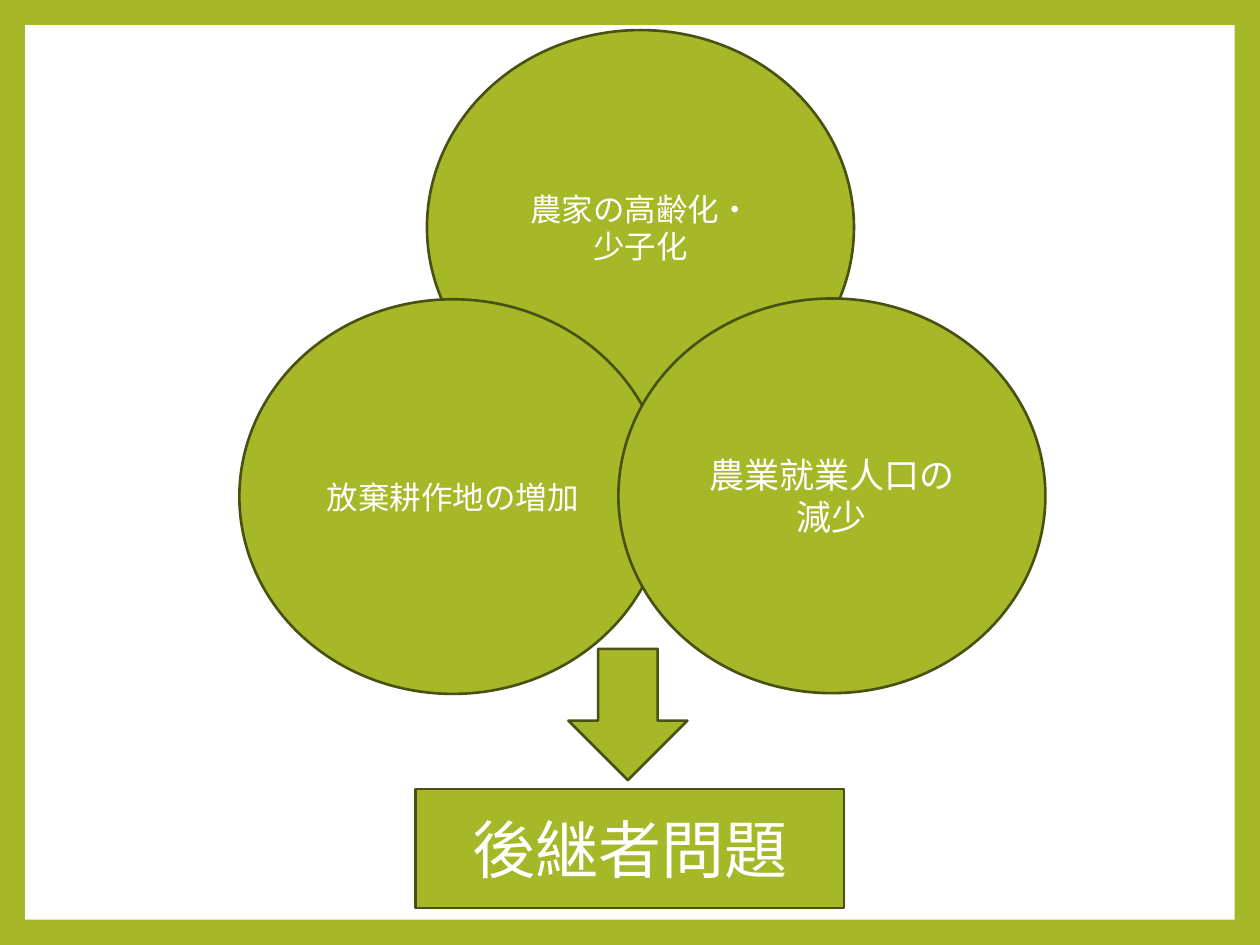
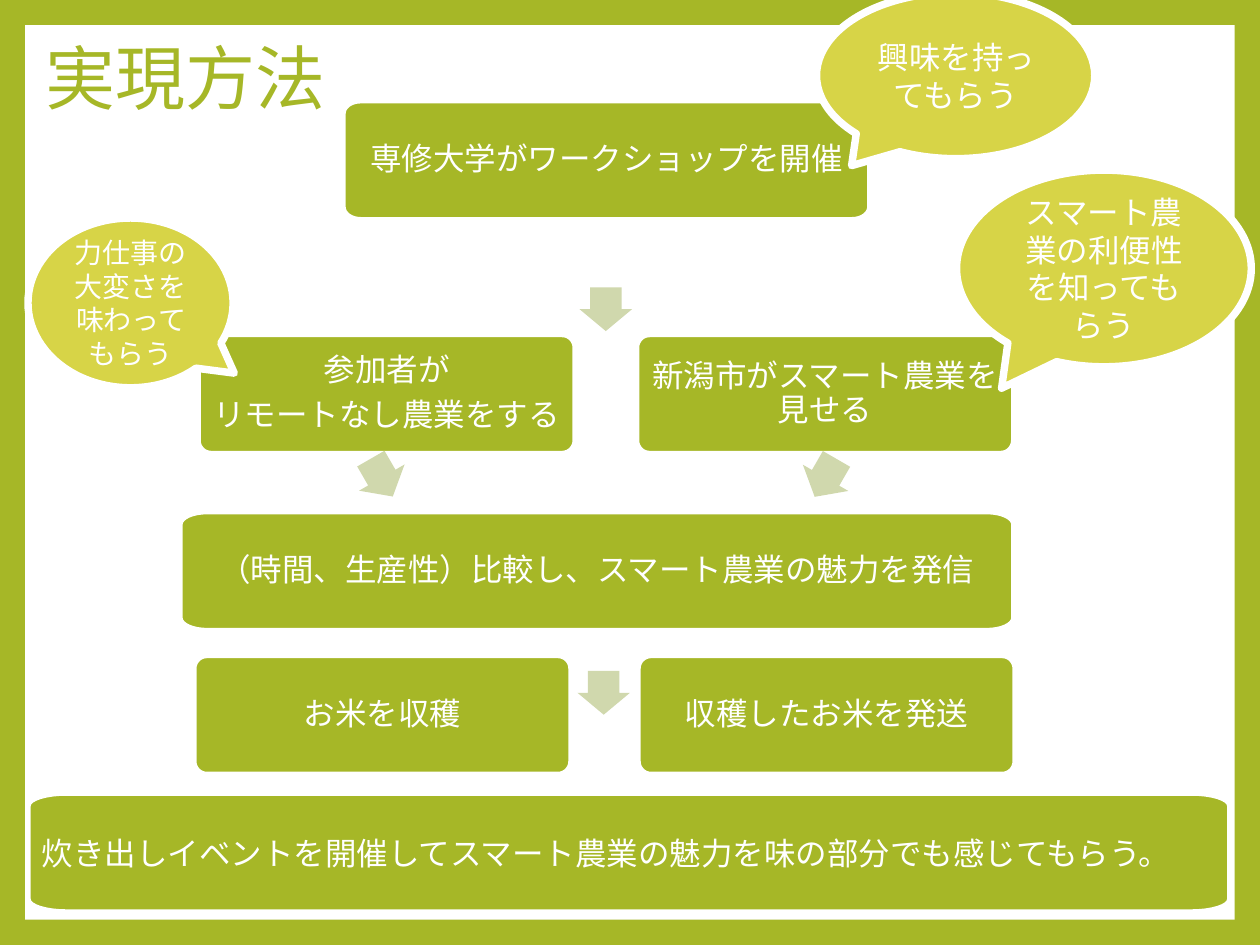
import math
from collections import namedtuple

import pptx
import pptx.dml.color
import pptx.enum.shapes
import pptx.enum.text
import pptx.util

Box = namedtuple("Box", "left top width height")
Pt = pptx.util.Pt
SHAPE = pptx.enum.shapes.MSO_SHAPE
ALIGN = pptx.enum.text.PP_ALIGN
MIDDLE = pptx.enum.text.MSO_ANCHOR.MIDDLE

FONT = "Cabin"
GREEN = "A6B727"
DARK_GREEN = "495011"
PALE_GREEN = "D0D8AD"
YELLOW = "D7D447"
WHITE = "FFFFFF"

PAGE = Box(0, 0, 720, 540)
FRAME = 14.4


def colour(value):
    return pptx.dml.color.RGBColor.from_string(value)


def inside(box, left, top, width, height):
    """Turn a position within box into a box on the page."""
    return Box(box.left + left, box.top + top, width, height)


def paint(shape, fill, line=None, line_width=1.5):
    shape.shadow.inherit = False
    shape.fill.solid()
    shape.fill.fore_color.rgb = colour(fill)
    if line:
        shape.line.color.rgb = colour(line)
        shape.line.width = Pt(line_width)
    else:
        shape.line.fill.background()


def draw(page, kind, box, fill, line=None, line_width=1.5):
    shape = page.shapes.add_shape(kind, *map(Pt, box))
    paint(shape, fill, line, line_width)
    return shape


def write(shape, text, size=18, ink=WHITE, align=ALIGN.CENTER,
          line_spacing=None, space_after=None):
    frame = shape.text_frame
    frame.word_wrap = True
    frame.vertical_anchor = MIDDLE
    frame.text = text
    for para in frame.paragraphs:
        para.alignment = align
        para.line_spacing = line_spacing
        para.space_after = space_after
        para.font.name = FONT
        para.font.size = Pt(size)
        para.font.color.rgb = colour(ink)


def set_up_master(deck, page):
    """Put the green border and white panel behind every slide."""
    master = deck.slide_master
    master.background.fill.solid()
    master.background.fill.fore_color.rgb = colour(GREEN)
    panel = draw(page, SHAPE.RECTANGLE,
                 inside(PAGE, FRAME, FRAME, PAGE.width - 2 * FRAME, PAGE.height - 2 * FRAME),
                 WHITE)
    master.shapes.element.insert(2, panel.element)


def add_title(page, text, box):
    title = page.shapes.title
    title.left, title.top, title.width, title.height = map(Pt, box)
    write(title, text, 40, GREEN, ALIGN.LEFT, 0.9)
    title.text_frame.auto_size = pptx.enum.text.MSO_AUTO_SIZE.NONE


def add_causes(page, box):
    """Three overlapping circles leading down to the resulting problem."""
    def part(kind, left, top, width, height):
        return draw(page, kind, inside(box, left, top, width, height), GREEN, DARK_GREEN)

    def circle(text, left, top, size):
        write(part(SHAPE.OVAL, left, top, 244, 225.5), text, size)

    circle("農家の高齢化・\n少子化", 107.2, 0, 18)
    part(SHAPE.DOWN_ARROW, 188, 353.6, 68, 75)
    circle("放棄耕作地の増加", 0, 153.8, 18)
    circle("農業就業人口の減少", 216.6, 153.4, 20)
    result = part(SHAPE.RECTANGLE, 100.5, 433.7, 245, 68)
    write(result, "後継者問題", 36)


def add_card(page, text, box, plain=False):
    """Card whose corners stretch with its width."""
    corner_x, corner_y = box.width * 0.031, box.height * 0.1
    points = []
    for quarter in range(4):
        side_x = 1 if quarter in (0, 3) else -1
        side_y = 1 if quarter < 2 else -1
        centre_x = box.left + box.width / 2 + side_x * (box.width / 2 - corner_x)
        centre_y = box.top + box.height / 2 + side_y * (box.height / 2 - corner_y)
        for step in range(9):
            angle = math.radians(90 * quarter + 11.25 * step)
            points.append((Pt(centre_x + corner_x * math.cos(angle)),
                           Pt(centre_y + corner_y * math.sin(angle))))
    outline = page.shapes.build_freeform(*points[0])
    outline.add_line_segments(points[1:], close=True)
    card = outline.convert_to_shape()
    paint(card, GREEN, WHITE)
    if plain:
        write(card, text, align=ALIGN.LEFT)
    else:
        write(card, text, line_spacing=0.9, space_after=Pt(6.3))
    frame = card.text_frame
    frame.margin_left = frame.margin_right = Pt(7.2)
    frame.margin_top = frame.margin_bottom = Pt(7.2)


def add_steps(page, box):
    """Cards of the plan from top to bottom, with arrows between them."""
    card_width, card_height = 213.9, 66.4
    cards = [
        ("専修大学がワークショップを開催", 180, 0, 299.5),
        ("参加者が\nリモートなし農業をする", 97.2, 133.6, card_width),
        ("新潟市がスマート農業を見せる", 347.8, 133.6, card_width),
        ("（時間、生産性）比較し、スマート農業の魅力を発信", 86.8, 234.8, 475),
        ("お米を収穫", 94.8, 317, card_width),
        ("収穫したお米を発送", 348.6, 317, card_width),
        ("炊き出しイベントを開催してスマート農業の魅力を味の部分でも感じてもらう。",
         0, 395.6, 685.2),
    ]
    for text, left, top, width in cards:
        add_card(page, text, inside(box, left, top, width, card_height),
                 plain=text == cards[-1][0])

    arrows = [(314.4, 105.8, 0), (186.4, 202, -30), (440, 202.2, 30), (313.2, 325, 0)]
    for left, top, turn in arrows:
        arrow = draw(page, SHAPE.DOWN_ARROW, inside(box, left, top, 30, 25), PALE_GREEN)
        arrow.adjustments[0] = 0.6
        arrow.rotation = turn


def add_callouts(page, box):
    """Speech balloons that give the aim of a step."""
    callouts = [
        ("興味を持ってもらう", 18, (466.6, -4.3, 159, 95), (-0.374, 0.542)),
        ("力仕事の大変さを味わってもらう", 16, (16, 124.6, 117.2, 97), (0.506, 0.414)),
        ("スマート農業の利便性を知ってもらう", 18, (546.6, 97.2, 168.4, 112.4), (-0.347, 0.609)),
    ]
    for text, size, place, tip in callouts:
        balloon = draw(page, SHAPE.OVAL_CALLOUT, inside(box, *place), YELLOW, WHITE, 4.25)
        balloon.adjustments[0], balloon.adjustments[1] = tip
        write(balloon, text, size)


def main():
    deck = pptx.Presentation()
    deck.slide_width, deck.slide_height = Pt(PAGE.width), Pt(PAGE.height)

    causes = deck.slides.add_slide(deck.slide_layouts[6])
    set_up_master(deck, causes)
    add_causes(causes, Box(136.8, 17.2, 461, 502))

    plan = deck.slides.add_slide(deck.slide_layouts[5])
    add_title(plan, "実現方法", Box(18.7, 0.7, 190.8, 92.2))
    add_steps(plan, Box(16.8, 58.4, 685.2, 462))
    add_callouts(plan, PAGE)

    deck.save("out.pptx")


if __name__ == "__main__":
    main()
